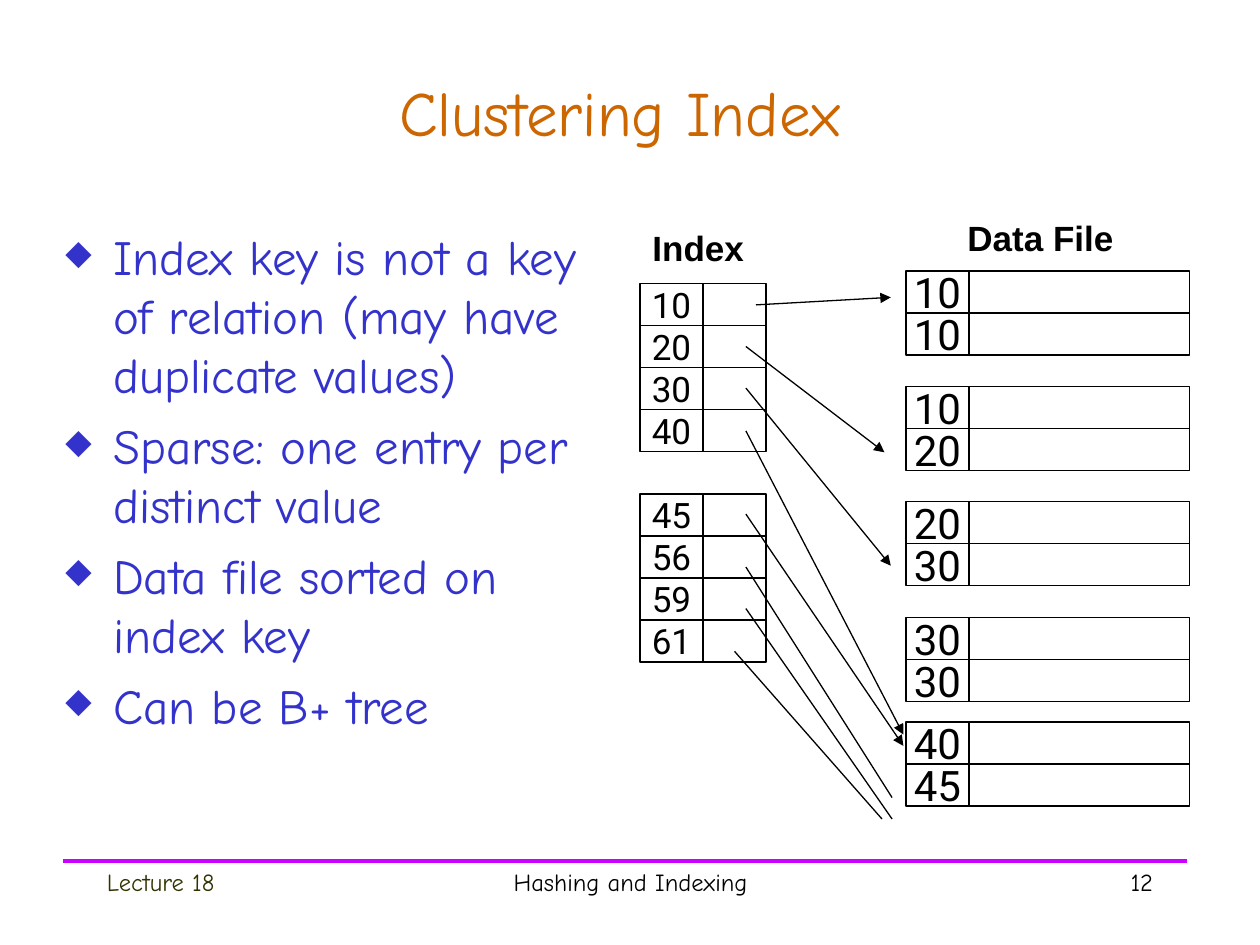
from dataclasses import dataclass

from lxml import etree
from pptx import Presentation
from pptx.dml.color import RGBColor
from pptx.enum.shapes import MSO_CONNECTOR as CONN, MSO_SHAPE as SHAPE
from pptx.enum.text import MSO_ANCHOR as ANCHOR, MSO_AUTO_SIZE as AUTO, PP_ALIGN as ALIGN
from pptx.oxml.ns import qn
from pptx.util import Inches, Pt

ROW = 1 / 3
KEY_W = 0.5
BLACK, BLUE, ORANGE = "000000", "3333CC", "CC6600"
COMIC = "Comic Neue"


@dataclass
class Block:
    left: float
    top: float
    value_w: float
    size: int
    keys: tuple


@dataclass
class Pointer:
    x1: float
    y1: float
    x2: float
    y2: float
    arrow: bool = True


@dataclass
class Label:
    text: str
    left: float
    top: float
    width: float
    height: float
    size: int
    font: str = COMIC
    color: str = BLACK
    align: ALIGN = ALIGN.LEFT
    anchor: ANCHOR = ANCHOR.TOP
    bold: bool = False
    wrap: bool = True


BLOCKS = [
    Block(5.08, 2.25, 0.5, 20, ("10", "20", "30", "40")),
    Block(5.08, 3.92, 0.5, 20, ("45", "56", "59", "61")),
    Block(7.19, 2.15, 1.75, 24, ("10", "10")),
    Block(7.19, 3.07, 1.75, 24, ("10", "20")),
    Block(7.19, 3.98, 1.75, 24, ("20", "30")),
    Block(7.19, 4.9, 1.75, 24, ("30", "30")),
    Block(7.19, 5.73, 1.75, 24, ("40", "45")),
]
POINTERS = [
    Pointer(6, 2.42, 7.07, 2.36),
    Pointer(5.92, 2.75, 7.02, 3.59),
    Pointer(5.92, 3.08, 7.07, 4.49),
    Pointer(5.92, 3.42, 7.17, 5.83),
    Pointer(5.92, 4.08, 7.17, 5.92),
    Pointer(5.92, 4.5, 7.08, 6.33, False),
    Pointer(5.92, 4.83, 7.08, 6.5, False),
    Pointer(5.83, 5.17, 7, 6.5, False),
]
LABELS = [
    Label("Clustering Index", 0.42, 0.42, 9, 0.92, 36, color=ORANGE,
          align=ALIGN.CENTER, anchor=ANCHOR.MIDDLE),
    Label("Data File", 7.58, 1.67, 1.36, 0.44, 20, "Arial", bold=True, wrap=False),
    Label("Index", 5.08, 1.75, 0.94, 0.44, 20, "Arial", bold=True, wrap=False),
    Label("Lecture 18", 0.75, 6.83, 2.08, 0.5, 14, color="333300"),
    Label("Hashing and Indexing", 3.42, 6.83, 3.17, 0.5, 14, align=ALIGN.CENTER),
    Label("12", 7.17, 6.83, 2.08, 0.5, 14, align=ALIGN.RIGHT),
]
BULLETS = [
    "Index key is not a key of relation (may have duplicate values)",
    "Sparse: one entry per distinct value",
    "Data file sorted on index key",
    "Can be B+ tree",
]


def rgb(color: str) -> RGBColor:
    return RGBColor.from_string(color)


def style(p, size: int, font: str, color: str, bold: bool = False) -> None:
    for r in p.runs:
        r.font.size, r.font.name, r.font.bold = Pt(size), font, bold
        r.font.color.rgb = rgb(color)


def add_label(s, label: Label) -> None:
    sp = s.shapes.add_textbox(Inches(label.left), Inches(label.top),
                              Inches(label.width), Inches(label.height))
    tf = sp.text_frame
    tf.word_wrap, tf.vertical_anchor = label.wrap, label.anchor
    tf.auto_size = AUTO.NONE if label.wrap else AUTO.SHAPE_TO_FIT_TEXT
    tf.text = label.text
    p = tf.paragraphs[0]
    p.alignment = label.align
    style(p, label.size, label.font, label.color, label.bold)


def add_bullets(s, items: list[str]) -> None:
    sp = s.shapes.add_textbox(Inches(0.42), Inches(1.75), Inches(4.42), Inches(4.59))
    tf = sp.text_frame
    tf.word_wrap = True
    tf.text = "\n".join(items)
    for i, p in enumerate(tf.paragraphs):
        pPr = p._p.get_or_add_pPr()
        pPr.set("marL", str(Inches(0.38)))
        pPr.set("indent", str(-Inches(0.38)))
        clr = etree.SubElement(pPr, qn("a:buClr"))
        etree.SubElement(clr, qn("a:srgbClr")).set("val", BLUE)
        etree.SubElement(pPr, qn("a:buSzPct")).set("val", "70000")
        etree.SubElement(pPr, qn("a:buChar")).set("char", "◆")
        p.space_before = Pt(7 if i else 0)
        style(p, 28, COMIC, BLUE)


def add_cell(s, left: float, top: float, width: float, text: str, size: int) -> None:
    sp = s.shapes.add_shape(SHAPE.RECTANGLE, Inches(left), Inches(top),
                            Inches(width), Inches(ROW))
    sp.shadow.inherit = False
    sp.fill.solid()
    sp.fill.fore_color.rgb = rgb("FFFFFF")
    sp.line.color.rgb = rgb(BLACK)
    sp.line.width = Pt(0.75)
    if text:
        tf = sp.text_frame
        tf.word_wrap, tf.vertical_anchor = False, ANCHOR.MIDDLE
        tf.text = text
        tf.paragraphs[0].alignment = ALIGN.CENTER
        style(tf.paragraphs[0], size, "Roboto", BLACK)


def add_block(s, block: Block) -> None:
    for i, key in enumerate(block.keys):
        top = block.top + i * ROW
        add_cell(s, block.left, top, KEY_W, key, block.size)
        add_cell(s, block.left + KEY_W, top, block.value_w, "", block.size)


def add_line(s, line: Pointer, color: str = BLACK, width: float = 0.75) -> None:
    cx = s.shapes.add_connector(CONN.STRAIGHT, Inches(line.x1), Inches(line.y1),
                                Inches(line.x2), Inches(line.y2))
    cx.line.color.rgb = rgb(color)
    cx.line.width = Pt(width)
    if line.arrow:
        etree.SubElement(cx.line._get_or_add_ln(), qn("a:tailEnd")).set("type", "triangle")
    etree.SubElement(cx._element.spPr, qn("a:effectLst"))


def main() -> None:
    """Build the clustering index slide."""
    prs = Presentation()
    prs.slide_width, prs.slide_height = Inches(10), Inches(7.5)
    s = prs.slides.add_slide(prs.slide_layouts[6])
    add_line(s, Pointer(0.5, 6.83, 9.42, 6.83, False), "CC00FF", 2.25)
    add_bullets(s, BULLETS)
    for block in BLOCKS:
        add_block(s, block)
    for pointer in POINTERS:
        add_line(s, pointer)
    for label in LABELS:
        add_label(s, label)
    prs.save("out.pptx")


if __name__ == "__main__":
    main()
